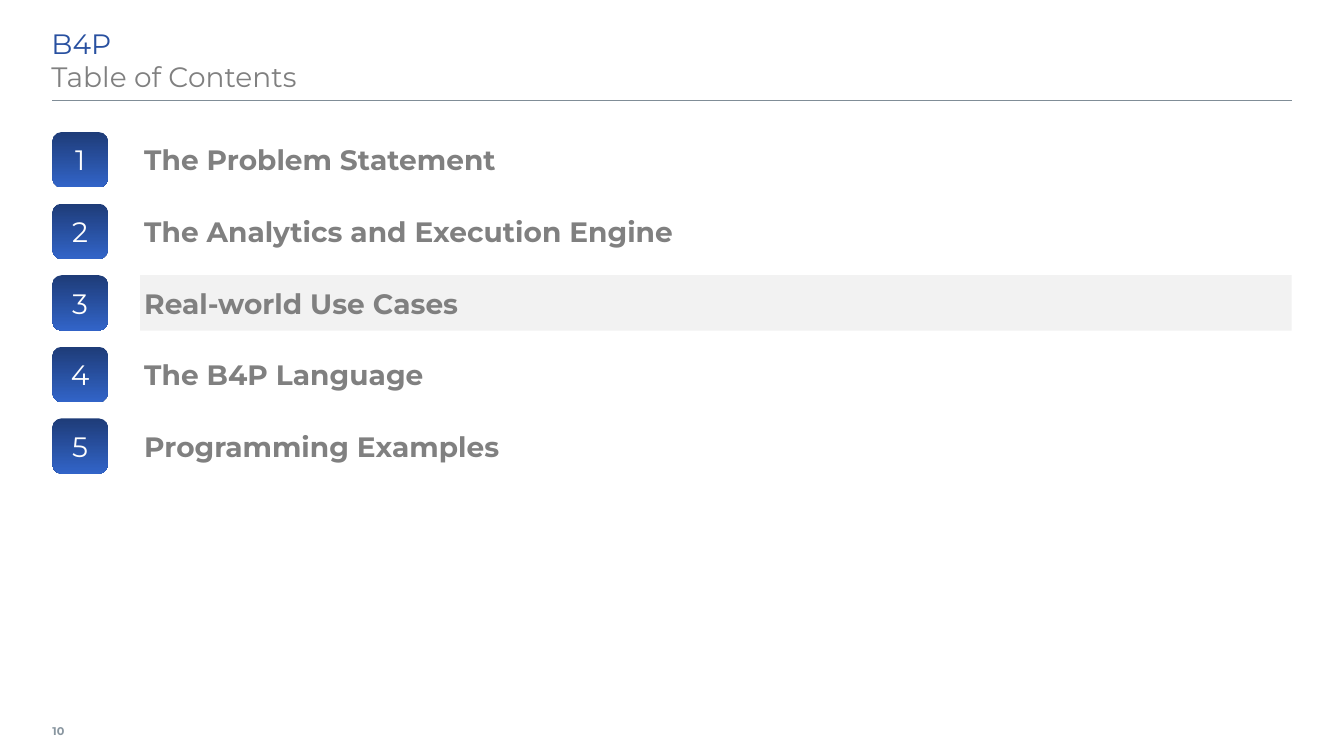
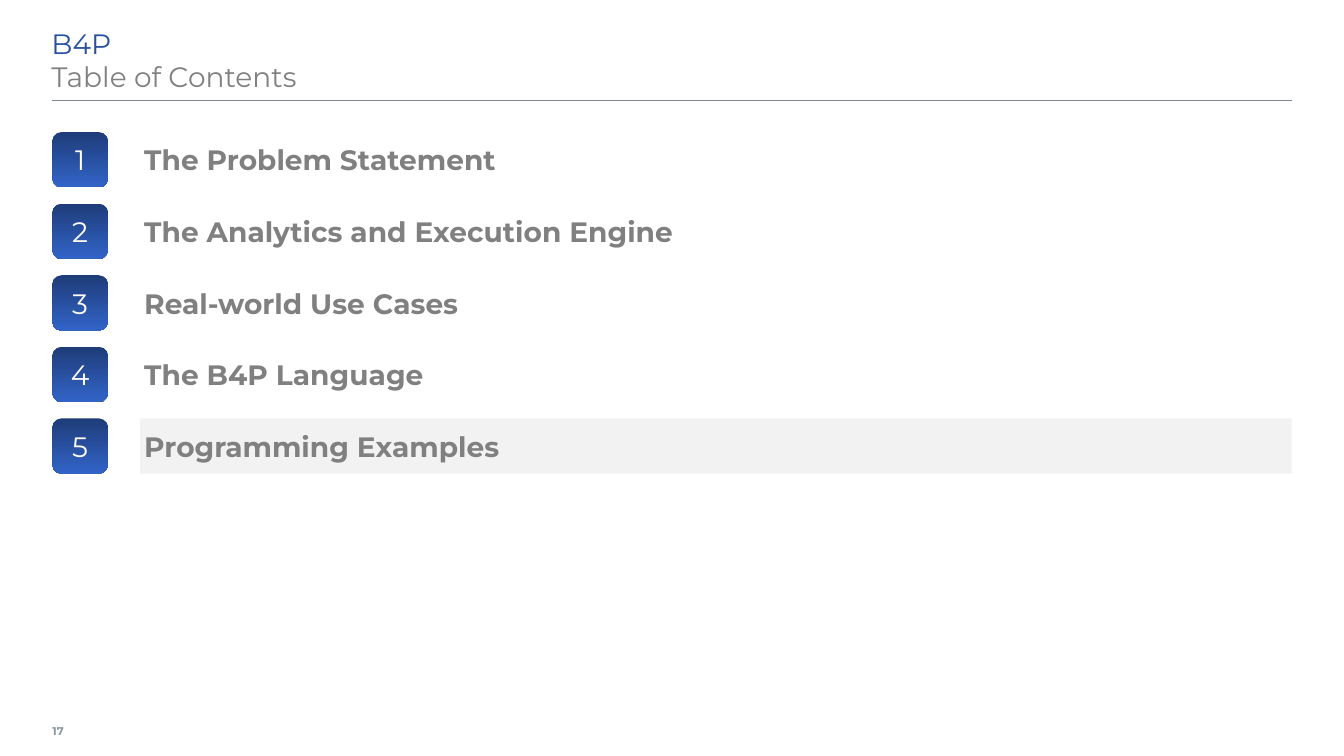
from lxml import etree
from pptx import Presentation
from pptx.dml.color import RGBColor
from pptx.enum.shapes import MSO_CONNECTOR, MSO_SHAPE
from pptx.enum.text import MSO_ANCHOR, PP_ALIGN
from pptx.oxml.ns import qn
from pptx.util import Inches, Pt

# Content
TITLE = "B4P"
SUBTITLE = "Table of Contents"
CHAPTERS = [
    "The Problem Statement",
    "The Analytics and Execution Engine",
    "Real-world Use Cases",
    "The B4P Language",
    "Programming Examples",
]
AGENDA_SLIDES = [  # page number, highlighted chapter
    (10, 3),
    (17, 5),
]

# Shared style
FONT = "Montserrat"
BLUE = RGBColor(0x28, 0x50, 0xA0)
BADGE_TOP = RGBColor(0x1E, 0x3C, 0x78)
BADGE_BOTTOM = RGBColor(0x32, 0x64, 0xC8)
GRAY = RGBColor(0x80, 0x80, 0x80)
RULE_GRAY = RGBColor(0x80, 0x8D, 0x97)
PAGE_GRAY = RGBColor(0x89, 0x96, 0xA0)
HIGHLIGHT = RGBColor(0xF2, 0xF2, 0xF2)
WHITE = RGBColor(0xFF, 0xFF, 0xFF)

# Layout in inches
SLIDE_WIDTH, SLIDE_HEIGHT = 13.33, 7.5
LEFT, RIGHT = 0.52, 12.81
RULE_Y = 1
FIRST_ROW, ROW_STEP, ROW_HEIGHT = 1.31, 0.71, 0.55
LABEL_LEFT = 1.39
ROW_INSETS = (0.04,) * 4


def set_up_frame(shape, insets, anchor, wrap):
    """Apply insets (left, top, right, bottom), anchor and wrapping."""
    frame = shape.text_frame
    (frame.margin_left, frame.margin_top,
     frame.margin_right, frame.margin_bottom) = map(Inches, insets)
    frame.vertical_anchor = anchor
    frame.word_wrap = wrap
    return frame


def write_line(shape, text, size, color, insets, bold=False,
               align=PP_ALIGN.LEFT, wrap=False):
    frame = set_up_frame(shape, insets, MSO_ANCHOR.MIDDLE, wrap)
    paragraph = frame.paragraphs[0]
    paragraph.add_run().text = text
    paragraph.alignment = align
    font = paragraph.font
    font.name, font.size, font.bold = FONT, Pt(size), bold
    font.color.rgb = color


def add_box(slide, preset, left, top, width, height):
    shape = slide.shapes.add_shape(
        preset, *map(Inches, (left, top, width, height)))
    shape.shadow.inherit = False
    shape.line.fill.background()
    return shape


def add_text_box(slide, left, top, width, height):
    return slide.shapes.add_textbox(
        *map(Inches, (left, top, width, height)))


def add_frame(slide, page):
    """Draw the rule, page number and two-line title."""
    rule = slide.shapes.add_connector(
        MSO_CONNECTOR.STRAIGHT,
        *map(Inches, (LEFT, RULE_Y, RIGHT, RULE_Y)))
    rule.line.color.rgb = RULE_GRAY
    rule.line.width = Pt(1)
    etree.SubElement(rule._element.spPr, qn("a:effectLst"))

    number = add_text_box(slide, LEFT, 7.06, 0.47, 0.39)
    write_line(number, str(page), 8, PAGE_GRAY, (0, 0.05, 0.08, 0.05), bold=True)

    title = add_text_box(slide, 0.51, 0.21, 12.28, 0.79)
    frame = set_up_frame(title, (0, 0.05, 0.1, 0.05), MSO_ANCHOR.TOP, True)
    paragraph = frame.paragraphs[0]
    paragraph.font.name, paragraph.font.size = FONT, Pt(20)
    heading = paragraph.add_run()
    heading.text = TITLE
    heading.font.color.rgb = BLUE
    paragraph.add_line_break()
    subtitle = paragraph.add_run()
    subtitle.text = SUBTITLE
    subtitle.font.color.rgb = GRAY


def add_chapter(slide, number, name, highlighted):
    """Draw one row: a chapter label and its numbered badge."""
    top = FIRST_ROW + (number - 1) * ROW_STEP
    label_area = (LABEL_LEFT, top, RIGHT - LABEL_LEFT, ROW_HEIGHT)
    if highlighted:
        label = add_box(slide, MSO_SHAPE.RECTANGLE, *label_area)
        label.fill.solid()
        label.fill.fore_color.rgb = HIGHLIGHT
    else:
        label = add_text_box(slide, *label_area)
    write_line(label, name, 20, GRAY, ROW_INSETS, bold=True)

    badge = add_box(slide, MSO_SHAPE.ROUNDED_RECTANGLE,
                    LEFT, top, ROW_HEIGHT, ROW_HEIGHT)
    badge.fill.gradient()
    badge.fill.gradient_angle = 270
    for stop, color in zip(badge.fill.gradient_stops, (BADGE_TOP, BADGE_BOTTOM)):
        stop.color.rgb = color
    write_line(badge, str(number), 20, WHITE, ROW_INSETS,
               align=PP_ALIGN.CENTER, wrap=True)


def main():
    presentation = Presentation()
    presentation.slide_width = Inches(SLIDE_WIDTH)
    presentation.slide_height = Inches(SLIDE_HEIGHT)
    blank = presentation.slide_layouts[6]
    for page, current in AGENDA_SLIDES:
        slide = presentation.slides.add_slide(blank)
        add_frame(slide, page)
        for number, name in enumerate(CHAPTERS, start=1):
            add_chapter(slide, number, name, number == current)
    presentation.save("out.pptx")


if __name__ == "__main__":
    main()
